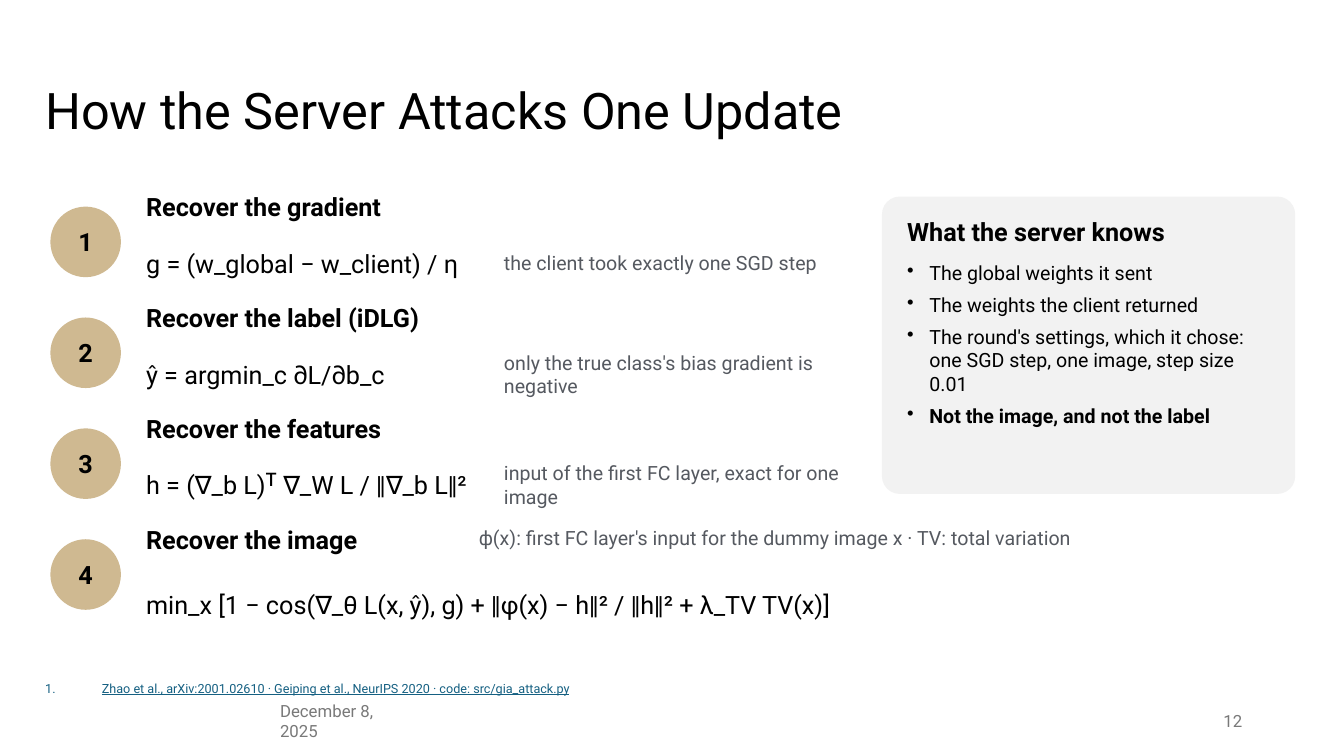
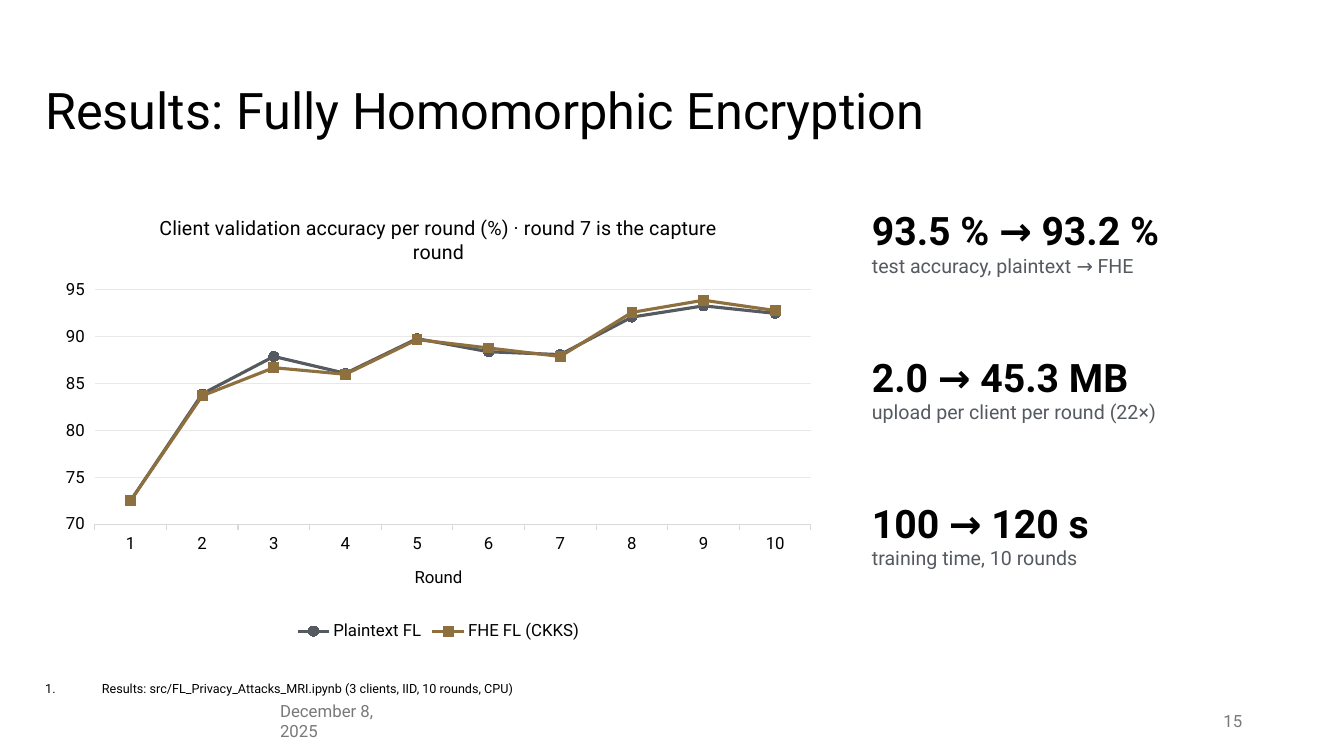
from dataclasses import dataclass
from typing import Any, Sequence

import lxml.etree
import pptx
import pptx.chart.data
import pptx.dml.color
import pptx.enum.chart
import pptx.enum.shapes
import pptx.enum.text
import pptx.oxml.ns
import pptx.util

Pt = pptx.util.Pt
Color = pptx.dml.color.RGBColor
Align = pptx.enum.text.PP_ALIGN
Anchor = pptx.enum.text.MSO_ANCHOR
Form = pptx.enum.shapes.MSO_SHAPE
Mark = pptx.enum.chart.XL_MARKER_STYLE
Tick = pptx.enum.chart.XL_TICK_MARK

BLACK = Color(0x00, 0x00, 0x00)
SLATE = Color(0x55, 0x59, 0x60)
GRAY = Color(0x79, 0x79, 0x79)
GOLD = Color(0xCF, 0xB9, 0x91)
BRONZE = Color(0x8E, 0x6F, 0x3E)
BLUE = Color(0x15, 0x60, 0x82)
PALE = Color(0xF2, 0xF2, 0xF2)
GRID = Color(0xE8, 0xE8, 0xE8)
RULE = Color(0xD9, 0xD9, 0xD9)
FACE = "Roboto"


@dataclass(frozen=True)
class Box:
    left: float
    top: float
    width: float
    height: float


@dataclass(frozen=True)
class Style:
    size: float
    color: Color = BLACK
    bold: bool = False
    under: bool = False


@dataclass(frozen=True)
class Para:
    text: str
    style: Style
    align: Align = Align.LEFT
    after: float = 0
    lead: float = 1.0
    bullet: str = ""
    hang: float = 0


@dataclass(frozen=True)
class Step:
    head: str
    math: str
    note: str
    wide: bool = False


@dataclass(frozen=True)
class Stat:
    value: str
    label: str


@dataclass(frozen=True)
class Line:
    name: str
    values: Sequence[float]
    color: Color
    mark: Mark


TITLE = Style(36)
FOOT = Style(12, GRAY)
HEAD = Style(18, bold=True)
MATH = Style(18)
NOTE = Style(14, SLATE)
BODY = Style(14)
STRONG = Style(14, bold=True)
VALUE = Style(28, bold=True)
CITE = Style(9)
LINK = Style(9, BLUE, under=True)

STEPS = (
    Step("Recover the gradient", "g = (w_global − w_client) / η",
         "the client took exactly one SGD step"),
    Step("Recover the label (iDLG)", "ŷ = argmin_c ∂L/∂b_c",
         "only the true class's bias gradient is negative"),
    Step("Recover the features", "h = (∇_b L)ᵀ ∇_W L / ‖∇_b L‖²",
         "input of the first FC layer, exact for one image"),
    Step("Recover the image",
         "min_x [1 − cos(∇_θ L(x, ŷ), g) + ‖φ(x) − h‖² / ‖h‖² + λ_TV TV(x)]",
         "ϕ(x): first FC layer's input for the dummy image x · TV: total variation",
         True),
)
FACTS = (
    ("The global weights it sent", BODY),
    ("The weights the client returned", BODY),
    ("The round's settings, which it chose: one SGD step, one image, step size 0.01", BODY),
    ("Not the image, and not the label", STRONG),
)
STATS = (
    Stat("93.5\u00a0% → 93.2\u00a0%", "test accuracy, plaintext → FHE"),
    Stat("2.0 → 45.3\u00a0MB", "upload per client per round (22×)"),
    Stat("100 → 120\u00a0s", "training time, 10 rounds"),
)
LINES = (
    Line("Plaintext FL", (72.5, 83.9, 87.9, 86.1, 89.8, 88.4, 88.1, 92.1, 93.3, 92.5),
         SLATE, Mark.CIRCLE),
    Line("FHE FL (CKKS)", (72.5, 83.7, 86.7, 86, 89.7, 88.8, 87.9, 92.6, 93.9, 92.8),
         BRONZE, Mark.SQUARE),
)


def apply(item: Any, values: dict[str, Any]) -> None:
    for name, value in values.items():
        setattr(item, name, value)


def place(box: Box) -> tuple:
    return Pt(box.left), Pt(box.top), Pt(box.width), Pt(box.height)


def set_font(font: Any, style: Style) -> None:
    apply(font, {"name": FACE, "size": Pt(style.size), "bold": style.bold,
                 "underline": style.under})
    font.color.rgb = style.color


def add_bullet(para: Any, sign: str, hang: float) -> None:
    props = para._p.get_or_add_pPr()
    props.set("marL", str(Pt(hang)))
    props.set("indent", str(-Pt(hang)))
    tag, key, value = (("a:buAutoNum", "type", "arabicPeriod") if sign == "1."
                       else ("a:buChar", "char", sign))
    lxml.etree.SubElement(props, pptx.oxml.ns.qn(tag)).set(key, value)


def fill_text(frame: Any, paras: Sequence[Para], anchor: Anchor, pad: bool) -> None:
    apply(frame, {"word_wrap": True, "vertical_anchor": anchor})
    if not pad:
        apply(frame, {f"margin_{side}": 0 for side in ("left", "top", "right", "bottom")})
    for index, item in enumerate(paras):
        para = frame.add_paragraph() if index else frame.paragraphs[0]
        if item.bullet:
            add_bullet(para, item.bullet, item.hang)
        apply(para, {"alignment": item.align, "space_after": Pt(item.after),
                     "line_spacing": item.lead})
        run = para.add_run()
        run.text = item.text
        set_font(run.font, item.style)


def add_text(slide: Any, box: Box, *paras: Para, anchor: Anchor = Anchor.TOP,
             pad: bool = False) -> None:
    fill_text(slide.shapes.add_textbox(*place(box)).text_frame, paras, anchor, pad)


def add_form(slide: Any, kind: Form, box: Box, color: Color) -> Any:
    shape = slide.shapes.add_shape(kind, *place(box))
    shape.shadow.inherit = False
    shape.fill.solid()
    shape.fill.fore_color.rgb = color
    shape.line.fill.background()
    return shape


def add_slide(deck: Any, title: str, page: str, source: str, style: Style) -> Any:
    slide = deck.slides.add_slide(deck.slide_layouts[6])
    mid = Anchor.MIDDLE
    add_text(slide, Box(25.2, 28.8, 869, 104.4), Para(title, TITLE, lead=0.9),
             anchor=mid, pad=True)
    add_text(slide, Box(193, 500.4, 103, 28.8), Para("December 8, 2025", FOOT),
             anchor=mid, pad=True)
    add_text(slide, Box(837.4, 500.4, 57, 28.8), Para(page, FOOT, Align.RIGHT),
             anchor=mid, pad=True)
    add_text(slide, Box(25.2, 479.5, 911.5, 20.9),
             Para(source, style, bullet="1.", hang=40.5), anchor=Anchor.BOTTOM, pad=True)
    return slide


def add_step(slide: Any, index: int, step: Step) -> None:
    top = 136.8 + 79.2 * index
    left = 104.4
    mid = Anchor.MIDDLE
    disc = add_form(slide, Form.OVAL, Box(36, top + 10.8, 50.4, 50.4), GOLD)
    fill_text(disc.text_frame, [Para(str(index + 1), HEAD, Align.CENTER)], mid, False)
    if step.wide:
        wide, math = 230.4, Box(left, top + 30.2, 820.8, 54)
        note, anchor = Box(342, top + 1.4, 583.2, 28.8), Anchor.TOP
    else:
        wide, math = 496.8, Box(left, top + 28.8, 244.8, 44.6)
        note, anchor = Box(360, top + 28.8, 241.2, 44.6), mid
    add_text(slide, Box(left, top, wide, 28.8), Para(step.head, HEAD))
    add_text(slide, math, Para(step.math, MATH, after=6), anchor=mid)
    add_text(slide, note, Para(step.note, NOTE), anchor=anchor)


def add_panel(slide: Any) -> None:
    panel = add_form(slide, Form.ROUNDED_RECTANGLE, Box(630, 140.4, 295.2, 212.4), PALE)
    panel.adjustments[0] = 0.06
    facts = [Para(text, style, after=6, bullet="•", hang=15.84) for text, style in FACTS]
    add_text(slide, Box(648, 154.8, 259.2, 187.2),
             Para("What the server knows", HEAD, after=10), *facts)


def set_title(title: Any, text: str, style: Style) -> None:
    title.text_frame.text = text
    set_font(title.text_frame.paragraphs[0].runs[0].font, style)


def add_graph(slide: Any, box: Box) -> None:
    data = pptx.chart.data.CategoryChartData()
    data.categories = [str(turn) for turn in range(1, 11)]
    for line in LINES:
        data.add_series(line.name, line.values)
    kind = pptx.enum.chart.XL_CHART_TYPE.LINE_MARKERS
    chart = slide.shapes.add_chart(kind, *place(box), data).chart
    set_font(chart.font, Style(12))
    apply(chart, {"has_title": True, "has_legend": True})
    set_title(chart.chart_title,
              "Client validation accuracy per round (%) · round 7 is the capture round", BODY)
    apply(chart.legend, {"position": pptx.enum.chart.XL_LEGEND_POSITION.BOTTOM,
                         "include_in_layout": False})
    base, scale = chart.category_axis, chart.value_axis
    apply(base, {"major_tick_mark": Tick.OUTSIDE, "has_major_gridlines": False})
    set_title(base.axis_title, "Round", Style(12))
    apply(scale, {"minimum_scale": 70, "maximum_scale": 95, "major_unit": 5,
                  "major_tick_mark": Tick.OUTSIDE, "has_major_gridlines": True})
    scale.format.line.fill.background()
    for rule, color in ((base.format.line, RULE), (scale.major_gridlines.format.line, GRID)):
        rule.color.rgb = color
        rule.width = Pt(0.75)
    chart.plots[0].vary_by_categories = False
    for line, trace in zip(LINES, chart.plots[0].series):
        trace.smooth = False
        trace.format.line.color.rgb = line.color
        trace.format.line.width = Pt(2.25)
        apply(trace.marker, {"style": line.mark, "size": 7})
        trace.marker.format.fill.solid()
        trace.marker.format.fill.fore_color.rgb = line.color
        trace.marker.format.line.color.rgb = line.color


def main() -> None:
    deck = pptx.Presentation()
    apply(deck, {"slide_width": Pt(960), "slide_height": Pt(540)})

    attack = add_slide(
        deck, "How the Server Attacks One Update", "12",
        "Zhao et al., arXiv:2001.02610 · Geiping et al., NeurIPS 2020 · code: src/gia_attack.py",
        LINK)
    for index, step in enumerate(STEPS):
        add_step(attack, index, step)
    add_panel(attack)

    result = add_slide(
        deck, "Results: Fully Homomorphic Encryption", "15",
        "Results: src/FL_Privacy_Attacks_MRI.ipynb (3 clients, IID, 10 rounds, CPU)", CITE)
    add_graph(result, Box(36, 140.4, 554.4, 320.4))
    for index, stat in enumerate(STATS):
        add_text(result, Box(622.8, 147.6 + 104.4 * index, 302.4, 82.8),
                 Para(stat.value, VALUE), Para(stat.label, NOTE))

    deck.save("out.pptx")


if __name__ == "__main__":
    main()
